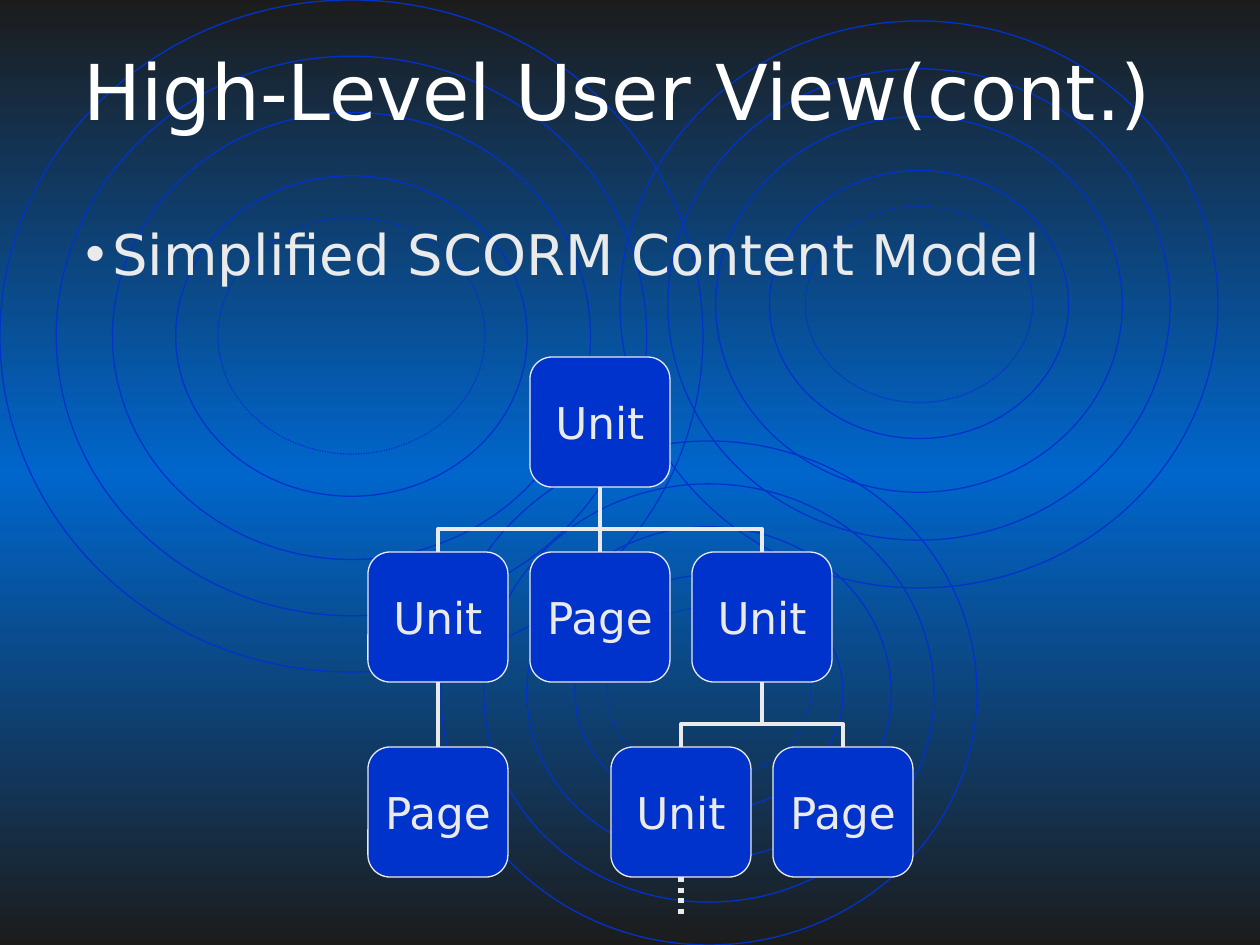
from copy import deepcopy
from dataclasses import dataclass

from lxml import etree
from pptx import Presentation
from pptx.dml.color import RGBColor
from pptx.enum.dml import MSO_LINE
from pptx.enum.shapes import MSO_CONNECTOR, MSO_SHAPE
from pptx.enum.text import MSO_ANCHOR, PP_ALIGN
from pptx.oxml.ns import qn
from pptx.util import Emu, Pt

STRAIGHT, ELBOW = MSO_CONNECTOR.STRAIGHT, MSO_CONNECTOR.ELBOW
OVAL, ROUNDED = MSO_SHAPE.OVAL, MSO_SHAPE.ROUNDED_RECTANGLE
DOTTED = MSO_LINE.ROUND_DOT  # written as sysDot
MIDDLE, TOP = MSO_ANCHOR.MIDDLE, MSO_ANCHOR.TOP
CENTER, LEFT = PP_ALIGN.CENTER, PP_ALIGN.LEFT
BOTTOM_SITE, TOP_SITE = 2, 0

# Content
TITLE = "High-Level User View(cont.)"
BULLET = "Simplified SCORM Content Model"
# name: (label, column in half steps from the root, row, parent)
TREE = {
    "root": ("Unit", 0, 0, None),
    "first unit": ("Unit", -2, 1, "root"),
    "middle page": ("Page", 0, 1, "root"),
    "last unit": ("Unit", 2, 1, "root"),
    "first unit page": ("Page", -2, 2, "first unit"),
    "nested unit": ("Unit", 1, 2, "last unit"),
    "last unit page": ("Page", 3, 2, "last unit"),
}
CONTINUED = "nested unit"
RIPPLES = [(0, 0, 703, 672), (441, 441, 536, 504), (620, 21, 598, 567)]
RING_INSETS = (0, 0.08, 0.16, 0.25, 0.31)  # share of the ripple's width

# Layout, px
PAGE = (1260, 945)
ROOT_LEFT, ROOT_TOP = 530, 357
NODE_WIDTH, NODE_HEIGHT = 140, 130
HALF_STEP, ROW_STEP = 81, 195
TAIL = 37
BULLET_INDENT = 27


@dataclass(frozen=True)
class Theme:
    font: str = "DejaVu Sans"
    bullet_font: str = "Arial"
    edge: RGBColor = RGBColor(0x1C, 0x1C, 0x1C)
    glow: RGBColor = RGBColor(0x00, 0x66, 0xCC)
    blue: RGBColor = RGBColor(0x00, 0x33, 0xCC)
    white: RGBColor = RGBColor(0xFF, 0xFF, 0xFF)
    light: RGBColor = RGBColor(0xEA, 0xEA, 0xEA)
    title: int = 44
    body: int = 32
    node: int = 25
    thin: float = 0.75
    link: float = 2.25
    tail: float = 3


THEME = Theme()


def px(length):
    return Emu(round(length * 914400 / 126))


def set_line(shape, color, width):
    shape.line.color.rgb = color
    shape.line.width = Pt(width)


def add_span(para, text, size, color):
    span = para.add_run()
    span.text = text
    span.font.name = THEME.font
    span.font.size = Pt(size)
    span.font.color.rgb = color


def add_text(page, bounds, text, size, color, align, anchor):
    box = page.shapes.add_textbox(*map(px, bounds))
    box.text_frame.word_wrap = True
    box.text_frame.vertical_anchor = anchor
    para = box.text_frame.paragraphs[0]
    para.alignment = align
    add_span(para, text, size, color)
    return para


def add_bullet(para):
    props = para._p.get_or_add_pPr()
    props.set("marL", str(px(BULLET_INDENT)))
    props.set("indent", str(-px(BULLET_INDENT)))
    etree.SubElement(props, qn("a:buFont"), typeface=THEME.bullet_font)
    etree.SubElement(props, qn("a:buChar"), char="•")


def paint_background(page):
    fill = page.background.fill
    fill.gradient()
    fill.gradient_angle = 270
    stops = page._element.find(".//" + qn("a:gsLst"))
    stops.insert(1, deepcopy(stops[0]))
    for stop, color, position in zip(
        fill.gradient_stops, (THEME.edge, THEME.glow, THEME.edge), (0, 0.5, 1)
    ):
        stop.color.rgb = color
        stop.position = position


def add_ripple(page, left, top, width, height):
    for share in RING_INSETS:
        inset = width * share
        ring = page.shapes.add_shape(
            OVAL, px(left + inset), px(top + inset),
            px(width - 2 * inset), px(height - 2 * inset))
        ring.shadow.inherit = False
        ring.fill.background()
        set_line(ring, THEME.blue, THEME.thin)
        if share == RING_INSETS[-1]:
            ring.line.dash_style = DOTTED


def add_node(page, label, column, row):
    node = page.shapes.add_shape(
        ROUNDED, px(ROOT_LEFT + column * HALF_STEP),
        px(ROOT_TOP + row * ROW_STEP), px(NODE_WIDTH), px(NODE_HEIGHT))
    node.adjustments[0] = 0.17
    node.shadow.inherit = False
    node.fill.solid()
    node.fill.fore_color.rgb = THEME.blue
    set_line(node, THEME.light, THEME.thin)
    frame = node.text_frame
    frame.margin_left = frame.margin_right = 0
    frame.margin_top = frame.margin_bottom = 0
    frame.word_wrap = False
    frame.vertical_anchor = MIDDLE
    para = frame.paragraphs[0]
    para.alignment = CENTER
    add_span(para, label, THEME.node, THEME.light)
    return node


def add_link(page, kind, start, end, width):
    link = page.shapes.add_connector(kind, *start, *end)
    set_line(link, THEME.light, width)
    etree.SubElement(link._element.spPr, qn("a:effectLst"))
    return link


def link_nodes(page, parent, child):
    x1, y1 = child.left + child.width // 2, child.top
    x2, y2 = parent.left + parent.width // 2, parent.top + parent.height
    if x1 == x2:
        link = add_link(page, STRAIGHT, (x2, y2), (x1, y1), THEME.link)
        link.begin_connect(parent, BOTTOM_SITE)
        link.end_connect(child, TOP_SITE)
        return
    # A vertical elbow is a horizontal one turned by a quarter about its middle
    middle_x, middle_y = (x1 + x2) // 2, (y1 + y2) // 2
    half_rise, half_run = (y1 - y2) // 2, abs(x1 - x2) // 2
    link = add_link(
        page, ELBOW, (middle_x - half_rise, middle_y - half_run),
        (middle_x + half_rise, middle_y + half_run), THEME.link)
    frame = link._element.spPr.find(qn("a:xfrm"))
    frame.set("rot", str((270 if x1 > x2 else 90) * 60000))
    frame.set("flipV", "1")
    if x1 < x2:
        frame.set("flipH", "1")
    guides = link._element.spPr.find(".//" + qn("a:avLst"))
    etree.SubElement(guides, qn("a:gd"), name="adj1", fmla="val 35000")


def main():
    deck = Presentation()
    deck.slide_width, deck.slide_height = map(px, PAGE)
    page = deck.slides.add_slide(deck.slide_layouts[6])

    # Backdrop
    paint_background(page)
    for ripple in RIPPLES:
        add_ripple(page, *ripple)

    # Title and bullet
    add_text(page, (0, -3, 1236, 185), TITLE, THEME.title, THEME.white, CENTER, MIDDLE)
    add_bullet(add_text(page, (73, 213, 1113, 77), BULLET, THEME.body,
                        THEME.light, LEFT, TOP))

    # Content tree
    nodes = {name: add_node(page, label, column, row)
             for name, (label, column, row, _) in TREE.items()}
    for name, (_, _, _, parent) in TREE.items():
        if parent:
            link_nodes(page, nodes[parent], nodes[name])

    # Dotted tail below the unit that goes on
    node = nodes[CONTINUED]
    x, y = node.left + node.width // 2, node.top + node.height
    tail = add_link(page, STRAIGHT, (x, y), (x, y + px(TAIL)), THEME.tail)
    tail.line.dash_style = DOTTED
    tail.begin_connect(node, BOTTOM_SITE)

    deck.save("out.pptx")


if __name__ == "__main__":
    main()
